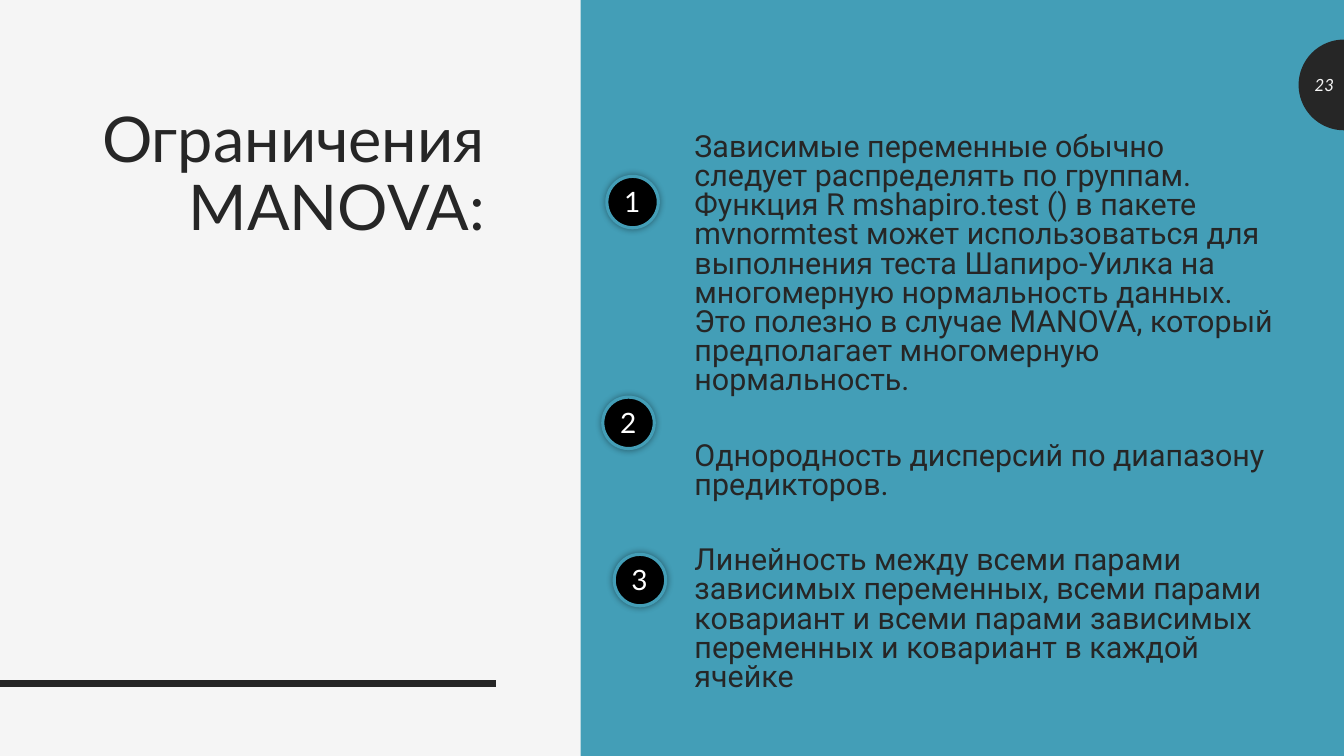
from math import cos, pi, sin
from typing import NamedTuple

from lxml.etree import SubElement
from pptx import Presentation
from pptx.dml.color import RGBColor
from pptx.enum.shapes import MSO_CONNECTOR, MSO_SHAPE
from pptx.enum.text import MSO_ANCHOR as Anchor, MSO_AUTO_SIZE as AutoSize, PP_ALIGN as Align
from pptx.oxml.ns import qn
from pptx.util import Emu, Inches, Pt

PAPER = RGBColor(0xF5, 0xF5, 0xF5)
INK = RGBColor(0x26, 0x26, 0x26)
TEAL = RGBColor(0x43, 0x9E, 0xB7)
BLACK = RGBColor(0, 0, 0)
WHITE = RGBColor(0xFF, 0xFF, 0xFF)

HEAD_FONT, BODY_FONT = "Lato", "Roboto"
SLIDE_W, SLIDE_H = Inches(13.33), Inches(7.5)


class Box(NamedTuple):
    """A frame in percent of the slide's width and height."""
    left: float
    top: float
    width: float
    height: float

    def emu(self) -> tuple[Emu, Emu, Emu, Emu]:
        return across(self.left), down(self.top), across(self.width), down(self.height)


class Badge(NamedTuple):
    label: str
    left: float
    top: float


TITLE = "Ограничения MANOVA:"
LIMITS = [
    "Зависимые переменные обычно следует распределять по группам. "
    "Функция R mshapiro.test () в пакете mvnormtest может использоваться "
    "для выполнения теста Шапиро-Уилка на многомерную нормальность данных. "
    "Это полезно в случае MANOVA, который предполагает многомерную нормальность.",
    "Однородность дисперсий по диапазону предикторов.",
    "Линейность между всеми парами зависимых переменных, всеми парами "
    "ковариант и всеми парами зависимых переменных и ковариант в каждой ячейке",
]
BADGES = [Badge("1", 45.15, 23.33), Badge("2", 44.85, 52.53), Badge("3", 45.7, 73.33)]

PANEL = Box(43.2, 0, 56.8, 100)
TITLE_BOX = Box(5.4, 13.6, 31.42, 33.2)
BODY_BOX = Box(50.92, 17.07, 45.15, 72.93)
PAGE_BOX = Box(96.6, 8.53, 3.4, 5.33)
TAB_CENTRE, TAB_RADIUS = 11.24, 6
RULE_Y, RULE_END = 90.4, 36.9


def across(share: float) -> Emu:
    return Emu(round(SLIDE_W * share / 100))


def down(share: float) -> Emu:
    return Emu(round(SLIDE_H * share / 100))


def paint(sp, colour: RGBColor) -> None:
    sp.shadow.inherit = False
    sp.fill.solid()
    sp.fill.fore_color.rgb = colour
    sp.line.fill.background()


def style(p, font: str, size: float, colour: RGBColor, align=Align.LEFT) -> None:
    p.alignment = align
    for r in p.runs:
        r.font.name, r.font.size, r.font.color.rgb = font, Pt(size), colour


def place(sp, box: Box) -> None:
    """Move a placeholder to its frame, in front of what is drawn so far."""
    sp.left, sp.top, sp.width, sp.height = box.emu()
    sp.element.getparent().append(sp.element)
    tf = sp.text_frame
    tf.word_wrap, tf.auto_size, tf.vertical_anchor = True, AutoSize.NONE, Anchor.TOP


def add_label(slide, box: Box, text: str, size: float, colour: RGBColor, align=Align.LEFT):
    tf = slide.shapes.add_textbox(*box.emu()).text_frame
    tf.word_wrap = True
    tf.text = text
    style(tf.paragraphs[0], HEAD_FONT, size, colour, align)
    return tf


def add_page_tab(slide) -> None:
    """Half disc against the right edge, holding the page number."""
    radius, steps = down(TAB_RADIUS), 48
    angles = [pi / 2 + pi * i / steps for i in range(steps + 1)]
    points = [(round(SLIDE_W + radius * cos(a)), round(down(TAB_CENTRE) + radius * sin(a)))
              for a in angles]
    outline = slide.shapes.build_freeform(*points[0])
    outline.add_line_segments(points[1:], close=True)
    paint(outline.convert_to_shape(), INK)
    tf = add_label(slide, PAGE_BOX, "23", 12, PAPER, Align.RIGHT)
    tf.vertical_anchor = Anchor.MIDDLE
    tf.paragraphs[0].runs[0].font.italic = True


def add_badge(slide, badge: Badge) -> None:
    sp = slide.shapes.add_shape(MSO_SHAPE.OVAL, *Box(badge.left, badge.top, 3.83, 6.8).emu())
    paint(sp, BLACK)
    sp.line.color.rgb, sp.line.width = TEAL, Pt(2.25)
    # Soft glow-like shadow
    effects = sp.element.spPr.find(qn("a:effectLst"))
    shadow = SubElement(effects, qn("a:outerShdw"), blurRad=str(Pt(5)), dist="0", dir="0")
    colour = SubElement(shadow, qn("a:srgbClr"), val=str(BLACK))
    SubElement(colour, qn("a:alpha"), val="40000")
    add_label(slide, Box(badge.left + 0.55, badge.top + 0.4, 2.7, 5.87), badge.label, 20, WHITE)


def fill_title(sp) -> None:
    place(sp, TITLE_BOX)
    sp.text_frame.text = TITLE
    p = sp.text_frame.paragraphs[0]
    p.line_spacing = 0.9
    style(p, HEAD_FONT, 45, INK, Align.RIGHT)


def fill_limits(sp) -> None:
    place(sp, BODY_BOX)
    tf = sp.text_frame
    for i, limit in enumerate(LIMITS):
        p = tf.add_paragraph() if i else tf.paragraphs[0]
        p.text = limit
        pPr = p._p.get_or_add_pPr()
        pPr.set("marL", "0")
        pPr.set("indent", "0")
        SubElement(pPr, qn("a:buNone"))
        p.line_spacing = 0.8
        p.space_before, p.space_after = Pt(9 if i else 0), Pt(24)
        style(p, BODY_FONT, 21.7, INK)


def main() -> None:
    prs = Presentation()
    prs.slide_width, prs.slide_height = SLIDE_W, SLIDE_H
    slide = prs.slides.add_slide(prs.slide_layouts[1])
    slide.background.fill.solid()
    slide.background.fill.fore_color.rgb = PAPER

    # Backdrop: rule, panel and page tab
    rule = slide.shapes.add_connector(
        MSO_CONNECTOR.STRAIGHT, 0, down(RULE_Y), across(RULE_END), down(RULE_Y))
    rule.line.color.rgb, rule.line.width = INK, Pt(4.5)
    SubElement(rule._element.spPr, qn("a:effectLst"))
    paint(slide.shapes.add_shape(MSO_SHAPE.RECTANGLE, *PANEL.emu()), TEAL)
    add_page_tab(slide)

    # Title, list and numbered badges
    fill_title(slide.shapes.title)
    fill_limits(slide.placeholders[1])
    for badge in BADGES:
        add_badge(slide, badge)

    prs.save("out.pptx")


if __name__ == "__main__":
    main()
